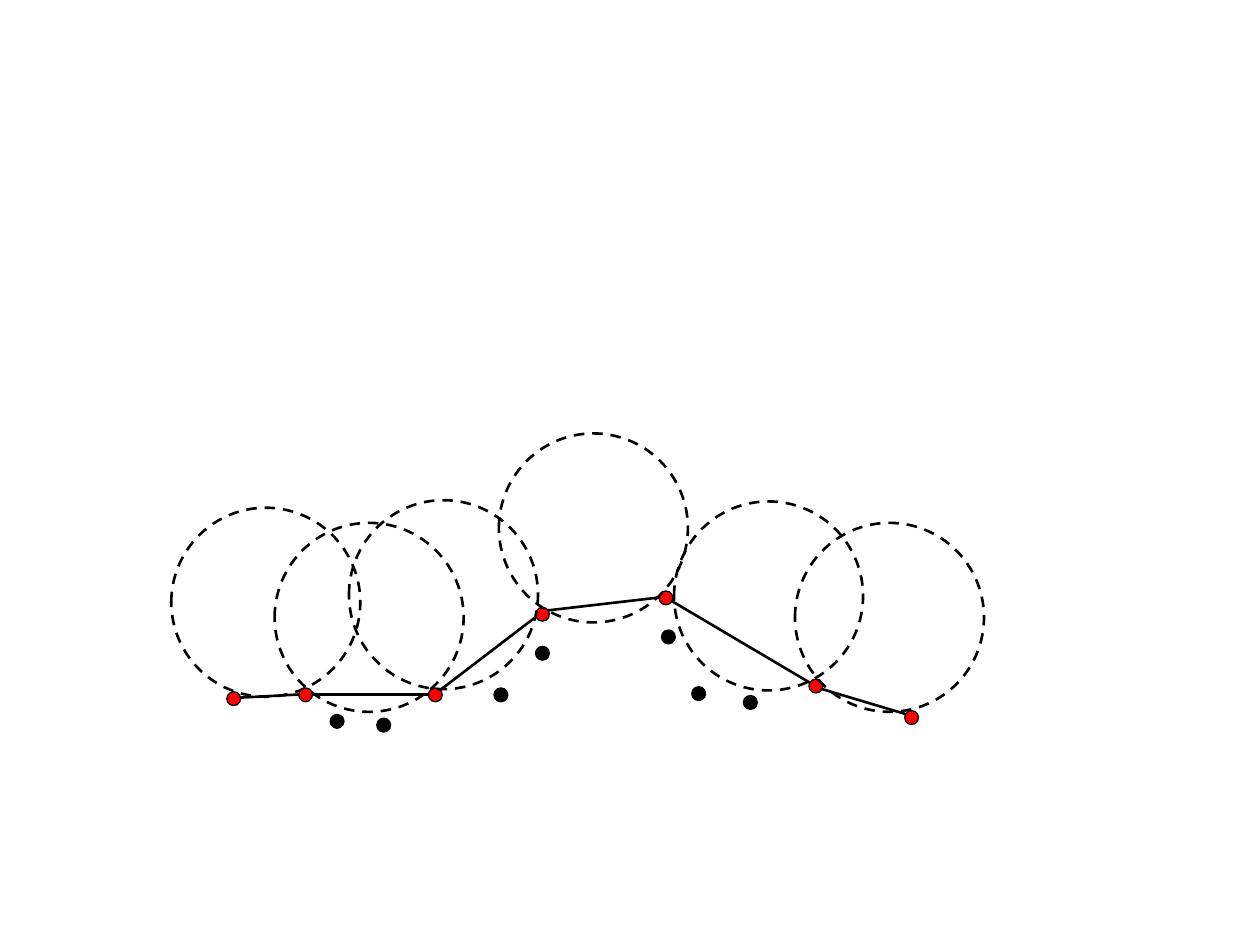
from dataclasses import dataclass

from pptx import Presentation
from pptx.dml.color import RGBColor
from pptx.enum import dml, shapes
from pptx.oxml.ns import qn
from pptx.util import Inches, Pt
from lxml import etree


@dataclass(frozen=True)
class Theme:
    ink: RGBColor = RGBColor(0, 0, 0)
    hull: RGBColor = RGBColor(255, 0, 0)
    paper: RGBColor = RGBColor(255, 255, 255)
    stroke: Pt = Pt(1.5)
    outline: Pt = Pt(0.75)


THEME = Theme()
BALL = Inches(1.5)
DOT = Inches(0.11)

# Offsets in inches from the diagram's top left corner
BALLS = [(0, 0.59), (0.82, 0.71), (1.41, 0.53),
         (3.99, 0.54), (2.6, 0), (4.95, 0.71)]
HULL_POINTS = [(0.44, 2.05), (1.01, 2.02), (2.04, 2.02), (2.89, 1.38),
               (3.87, 1.25), (5.06, 1.95), (5.82, 2.2)]
INNER_POINTS = [(1.26, 2.23), (1.63, 2.26), (2.56, 2.02), (2.89, 1.69),
                (3.89, 1.56), (4.13, 2.01), (4.54, 2.08)]
HULL_EDGES = [((0.49, 2.1), (1.05, 2.07)), ((1.05, 2.07), (2.09, 2.07)),
              ((2.94, 1.42), (2.09, 2.07)), ((2.94, 1.41), (3.89, 1.3)),
              ((3.92, 1.3), (5.07, 1.98)), ((5.1, 2.01), (5.87, 2.24))]


def add_circle(s, x, y, size, width, fill=None, dashed=False):
    sp = s.shapes.add_shape(shapes.MSO_SHAPE.OVAL, x, y, size, size)
    sp.shadow.inherit = False
    if fill is None:
        sp.fill.background()
    else:
        sp.fill.solid()
        sp.fill.fore_color.rgb = fill
    sp.line.color.rgb = THEME.ink
    sp.line.width = width
    if dashed:
        sp.line.dash_style = dml.MSO_LINE.DASH


def add_edge(s, x1, y1, x2, y2):
    line = s.shapes.add_connector(shapes.MSO_CONNECTOR.STRAIGHT, x1, y1, x2, y2)
    line.line.color.rgb = THEME.ink
    line.line.width = THEME.stroke
    etree.SubElement(line._element.spPr, qn("a:effectLst"))


def add_rolling_ball(s, left, top):
    """Draw the point set, its hull and the rolling balls from (left, top)."""
    def place(point):
        return left + Inches(point[0]), top + Inches(point[1])

    def add_balls(points):
        for point in points:
            add_circle(s, *place(point), BALL, THEME.stroke, dashed=True)

    # First ball lies behind the hull
    add_balls(BALLS[:1])

    # Hull edges
    for start, end in HULL_EDGES:
        add_edge(s, *place(start), *place(end))

    # Hull and inner points
    for points, fill in ((HULL_POINTS, THEME.hull), (INNER_POINTS, THEME.ink)):
        for point in points:
            add_circle(s, *place(point), DOT, THEME.outline, fill)

    # Remaining balls lie in front
    add_balls(BALLS[1:])


def main():
    prs = Presentation()
    prs.slide_width, prs.slide_height = Inches(10), Inches(7.5)
    s = prs.slides.add_slide(prs.slide_layouts[6])
    s.background.fill.solid()
    s.background.fill.fore_color.rgb = THEME.paper
    add_rolling_ball(s, Inches(1.36), Inches(3.44))
    prs.save("out.pptx")


if __name__ == "__main__":
    main()
